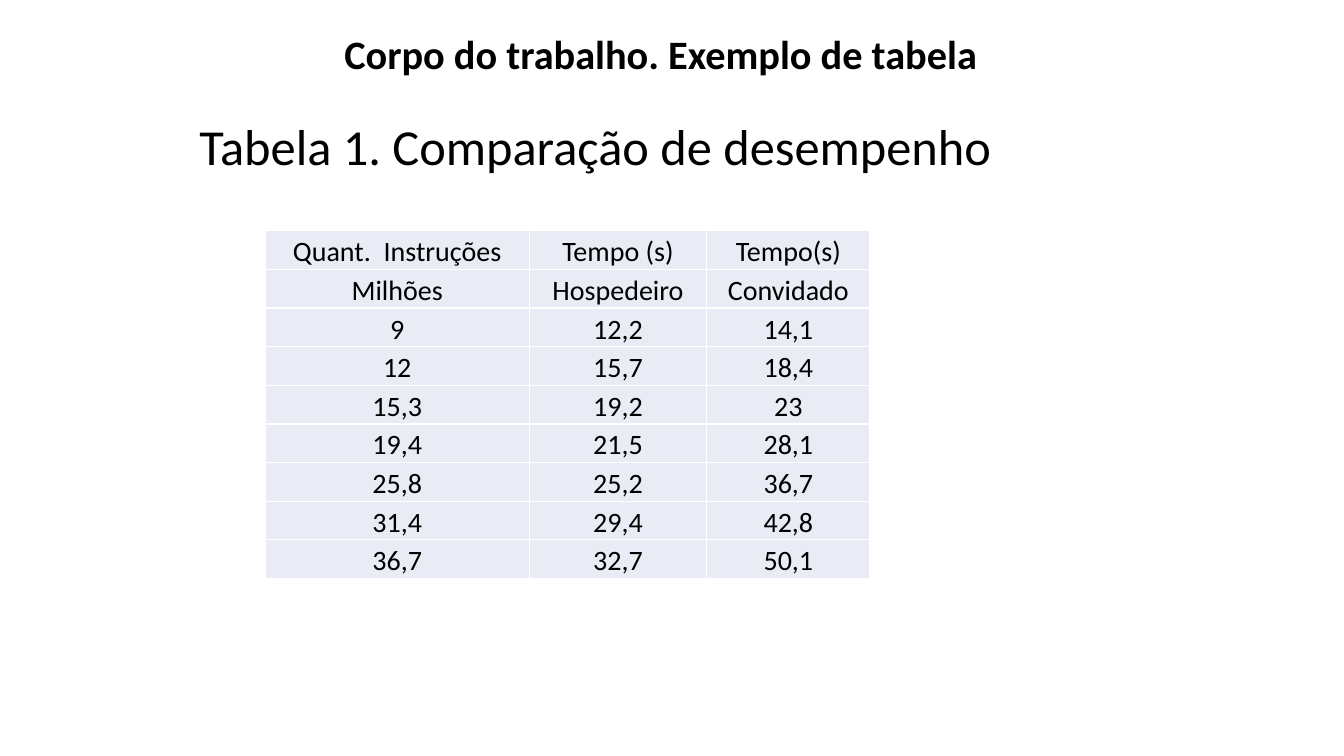
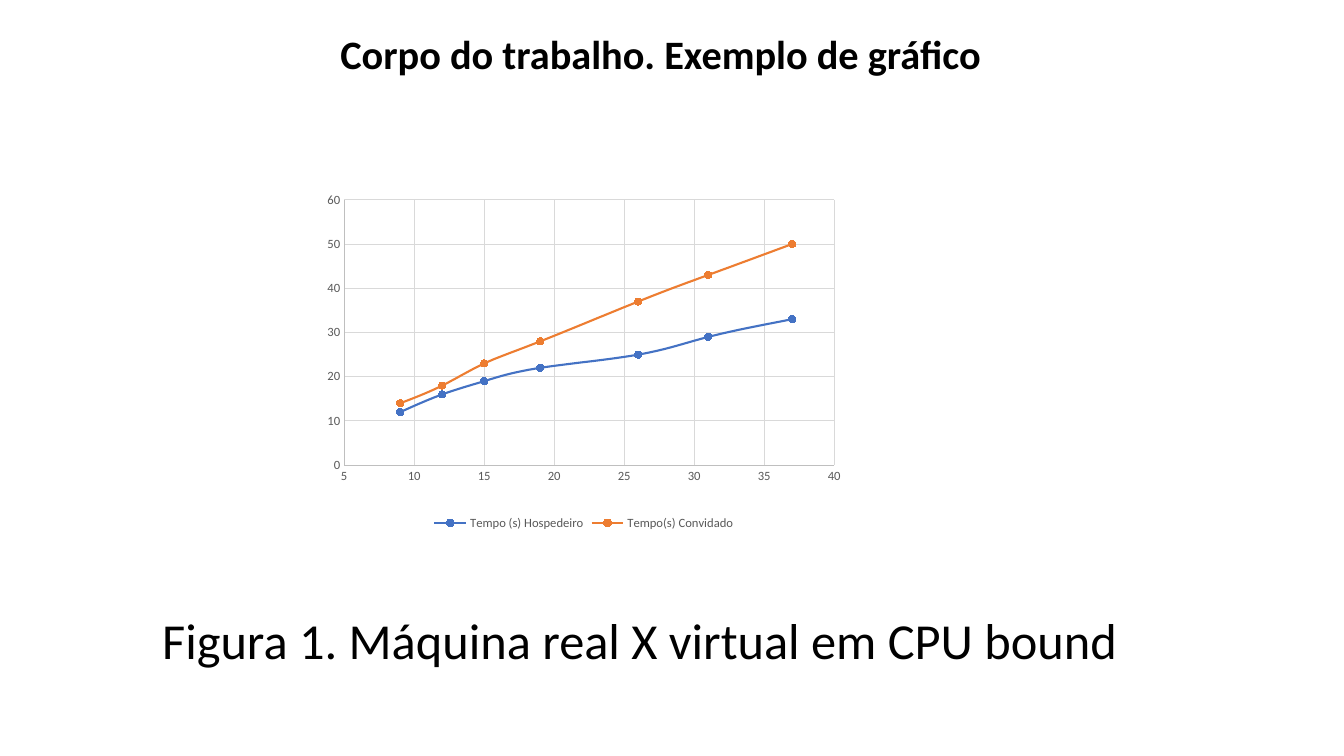
"""Build two slides: a performance table and the matching scatter chart."""
from lxml import etree
from pptx import Presentation
from pptx.chart.data import XyChartData
from pptx.dml.color import RGBColor
from pptx.enum import chart as chart_enum, text
from pptx.oxml import ns, parse_xml
from pptx.util import Inches, Pt

FONT = "Calibri"
BLACK = RGBColor(0x00, 0x00, 0x00)
GREY = RGBColor(0x59, 0x59, 0x59)
AXIS = RGBColor(0xBF, 0xBF, 0xBF)
GRID = RGBColor(0xD9, 0xD9, 0xD9)
CELL = RGBColor(0xE9, 0xEB, 0xF5)
BLUE = RGBColor(0x44, 0x72, 0xC4)
ORANGE = RGBColor(0xED, 0x7D, 0x31)
HEADERS = [
    ("Quant.  Instruções", "Tempo (s)", "Tempo(s)"),
    ("Milhões", "Hospedeiro", "Convidado"),
]
MEASURES = [
    (9, 12.2, 14.1),
    (12, 15.7, 18.4),
    (15.3, 19.2, 23),
    (19.4, 21.5, 28.1),
    (25.8, 25.2, 36.7),
    (31.4, 29.4, 42.8),
    (36.7, 32.7, 50.1),
]


def style_font(font, size, color=BLACK, bold=False):
    font.name = FONT
    font.size = Pt(size)
    font.color.rgb = color
    font.bold = bold


def add_page(deck, title, caption, left, top, width):
    page = deck.slides.add_slide(deck.slide_layouts.get_by_name("Title Only"))
    heading = page.shapes.title
    heading.left, heading.top = Inches(0.61), Inches(0.19)
    heading.width, heading.height = Inches(11.89), Inches(0.63)
    box = page.shapes.add_textbox(Inches(left), Inches(top), Inches(width), Inches(0.71))
    for shape, words in ((heading, title), (box, caption)):
        shape.text_frame.text = words
        shape.text_frame.word_wrap = True
    heading.text_frame.auto_size = text.MSO_AUTO_SIZE.NONE
    heading.text_frame.vertical_anchor = text.MSO_ANCHOR.BOTTOM
    para = heading.text_frame.paragraphs[0]
    para.alignment = text.PP_ALIGN.CENTER
    para.line_spacing = 1.2
    style_font(para.font, 28.8, bold=True)
    box.text_frame.auto_size = text.MSO_AUTO_SIZE.SHAPE_TO_FIT_TEXT
    style_font(box.text_frame.paragraphs[0].font, 36)
    return page


deck = Presentation()
deck.slide_width, deck.slide_height = Inches(13.33), Inches(7.5)

page = add_page(deck, "Corpo do trabalho. Exemplo de tabela",
                "Tabela 1. Comparação de desempenho", 1.88, 1.09, 9.58)
rows = HEADERS + [[f"{value:g}".replace(".", ",") for value in row] for row in MEASURES]
table = page.shapes.add_table(len(rows), 3, Inches(2.63), Inches(2.29),
                              Inches(6), Inches(3.45)).table
table.first_row = table.horz_banding = False
for column, width in zip(table.columns, (2.62, 1.76, 1.62)):
    column.width = Inches(width)
for r, row in enumerate(rows):
    for c, words in enumerate(row):
        cell = table.cell(r, c)
        cell.text = words
        cell.vertical_anchor = text.MSO_ANCHOR.BOTTOM
        cell.margin_left = cell.margin_right = cell.margin_top = Inches(0.01)
        cell.margin_bottom = 0
        para = cell.text_frame.paragraphs[0]
        para.alignment = text.PP_ALIGN.CENTER
        style_font(para.font, 20)
        properties = cell._tc.get_or_add_tcPr()
        for side in ("lnL", "lnR", "lnT", "lnB"):
            properties.append(parse_xml(
                f'<a:{side} {ns.nsdecls("a")} w="12700"><a:solidFill>'
                f'<a:srgbClr val="FFFFFF"/></a:solidFill></a:{side}>'))
        cell.fill.solid()
        cell.fill.fore_color.rgb = CELL

page = add_page(deck, "Corpo do trabalho. Exemplo de gráfico",
                "Figura 1. Máquina real X virtual em CPU bound", 1.51, 5.99, 10.29)
data = XyChartData()
for column in (1, 2):
    series = data.add_series(" ".join(header[column] for header in HEADERS))
    for row in MEASURES:
        series.add_data_point(round(row[0]), round(row[column]))
chart = page.shapes.add_chart(
    chart_enum.XL_CHART_TYPE.XY_SCATTER_SMOOTH, Inches(3.09), Inches(1.88),
    Inches(5.4), Inches(3.42), data).chart
style_font(chart.font, 10)
chart.has_title = False
chart.has_legend = True
chart.legend.position = chart_enum.XL_LEGEND_POSITION.BOTTOM
chart.legend.include_in_layout = False
style_font(chart.legend.font, 9, GREY)
chart.plots[0].vary_by_categories = False

for axis, low, high, step in ((chart.category_axis, 5, 40, 5), (chart.value_axis, 0, 60, 10)):
    axis.minimum_scale, axis.maximum_scale, axis.major_unit = low, high, step
    axis.has_major_gridlines = True
    axis.major_tick_mark = axis.minor_tick_mark = chart_enum.XL_TICK_MARK.NONE
    axis.tick_labels.number_format = "General"
    axis.tick_labels.number_format_is_linked = False
    style_font(axis.tick_labels.font, 9, GREY)
    for line, color in ((axis.format.line, AXIS), (axis.major_gridlines.format.line, GRID)):
        line.color.rgb = color
        line.width = Pt(0.75)

for series, color in zip(chart.plots[0].series, (BLUE, ORANGE)):
    series._element.get_or_add_smooth().val = True
    series.format.line.color.rgb = color
    series.format.line.width = Pt(1.5)
    series.marker.style = chart_enum.XL_MARKER_STYLE.CIRCLE
    series.marker.size = 5
    series.marker.format.fill.solid()
    series.marker.format.fill.fore_color.rgb = color
    series.marker.format.line.color.rgb = color

plot_area = chart._chartSpace.chart.plotArea
for layout in plot_area.findall(ns.qn("c:layout")):
    plot_area.remove(layout)
layout = parse_xml(f'<c:layout {ns.nsdecls("c")}><c:manualLayout/></c:layout>')
plot_area.insert(0, layout)
for tag, value in (("layoutTarget", "inner"), ("xMode", "edge"), ("yMode", "edge"),
                   ("x", "0.06"), ("y", "0.03"), ("w", "0.9"), ("h", "0.77")):
    etree.SubElement(layout[0], ns.qn(f"c:{tag}")).set("val", value)

deck.save("out.pptx")
